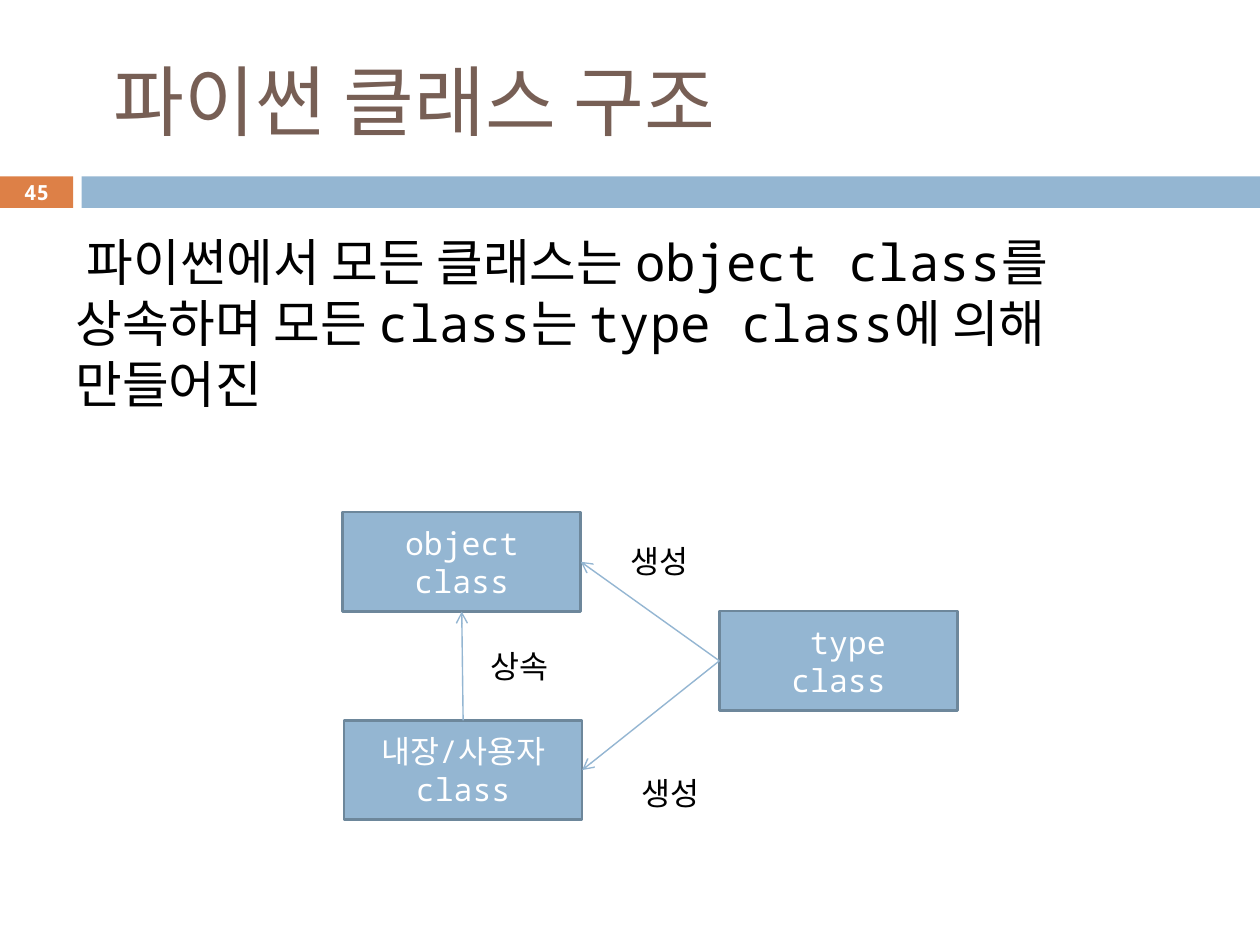
from lxml.etree import SubElement
from pptx import Presentation
from pptx.dml.color import RGBColor
from pptx.enum.shapes import MSO_CONNECTOR, MSO_SHAPE
from pptx.enum.text import MSO_ANCHOR, PP_ALIGN
from pptx.oxml.ns import qn
from pptx.util import Pt

FACE = "Noto Sans Mono"
BLUE, EDGE, ORANGE = "94B6D2", "6D879B", "DD8047"
BROWN, BLACK, WHITE = "775F55", "000000", "FFFFFF"

# Content: text, left, top, width, height, format
TITLE = " 파이썬 클래스 구조"
BODY = (" 파이썬에서 모든 클래스는 object class를 상속하며 "
        "모든 class는 type class에 의해 만들어진")
TEXTS = [
    (TITLE, 48.2, 18, 642.2, 77.8,
     dict(size=44, color=BROWN, anchor=MSO_ANCHOR.MIDDLE)),
    (BODY, 36, 128.2, 648, 130.3, dict(size=29)),
    ("45", 0, 100.1, 41.8, 19.4,
     dict(size=11.9, color=WHITE, bold=True, align=PP_ALIGN.CENTER,
          anchor=MSO_ANCHOR.MIDDLE)),
]
BARS = [(0, 41.8, ORANGE), (46.6, 673.4, BLUE)]
BAR_TOP, BAR_H = 100.8, 18

# Class boxes: key, lines, left, top
BOXES = [
    ("object", [" object ", "class"], 195.8, 292.6),
    ("user", ["내장/사용자", "class"], 196.6, 411.6),
    ("type", [" type", "class"], 411.1, 349.2),
]
BOX_W, BOX_H = 136.1, 56.9
TOP, LEFT, BOTTOM, RIGHT = range(4)
LINKS = [
    ("user", TOP, "object", BOTTOM),
    ("type", LEFT, "object", RIGHT),
    ("type", LEFT, "user", RIGHT),
]
LABELS = [(" 상속", 269.3, 366.2), (" 생성", 355.7, 438.5), (" 생성", 349.2, 306.4)]
LABEL_W, LABEL_H = 79.2, 28.8

deck = Presentation()
deck.slide_width, deck.slide_height = Pt(720), Pt(540)
slide = deck.slides.add_slide(deck.slide_layouts[6])
shapes = slide.shapes


def rgb(code):
    return RGBColor.from_string(code)


def write(shape, lines, size=18, color=BLACK, bold=False,
          align=PP_ALIGN.LEFT, anchor=MSO_ANCHOR.TOP):
    frame = shape.text_frame
    frame.word_wrap = True
    frame.vertical_anchor = anchor
    form = dict(name=FACE, size=Pt(size), bold=bold)
    for i, line in enumerate(lines):
        para = frame.add_paragraph() if i else frame.paragraphs[0]
        para.alignment = align
        run = para.add_run()
        run.text = line
        for key, value in form.items():
            setattr(run.font, key, value)
        run.font.color.rgb = rgb(color)


def add_text(text, x, y, w, h, form):
    write(shapes.add_textbox(Pt(x), Pt(y), Pt(w), Pt(h)), [text], **form)


def add_rect(x, y, w, h, fill, edge=None):
    rect = shapes.add_shape(MSO_SHAPE.RECTANGLE, Pt(x), Pt(y), Pt(w), Pt(h))
    rect.shadow.inherit = False
    rect.fill.solid()
    rect.fill.fore_color.rgb = rgb(fill)
    if edge:
        rect.line.color.rgb = rgb(edge)
        rect.line.width = Pt(1.5)
    else:
        rect.line.fill.background()
    return rect


# Header band, title, body and page number
for x, w, fill in BARS:
    add_rect(x, BAR_TOP, w, BAR_H, fill)
for item in TEXTS:
    add_text(*item)

# Class boxes
nodes = {}
for key, lines, x, y in BOXES:
    nodes[key] = add_rect(x, y, BOX_W, BOX_H, BLUE, EDGE)
    write(nodes[key], lines, color=WHITE, align=PP_ALIGN.CENTER,
          anchor=MSO_ANCHOR.MIDDLE)

# Arrows between boxes
for start, out, end, into in LINKS:
    link = shapes.add_connector(MSO_CONNECTOR.STRAIGHT, 0, 0, 0, 0)
    link.begin_connect(nodes[start], out)
    link.end_connect(nodes[end], into)
    link.line.color.rgb = rgb(BLUE)
    link.line.width = Pt(0.79)
    SubElement(link.line._get_or_add_ln(), qn("a:tailEnd"), type="arrow")
    SubElement(link._element.spPr, qn("a:effectLst"))

# Arrow labels
for text, x, y in LABELS:
    add_text(text, x, y, LABEL_W, LABEL_H, {})

deck.save("out.pptx")
